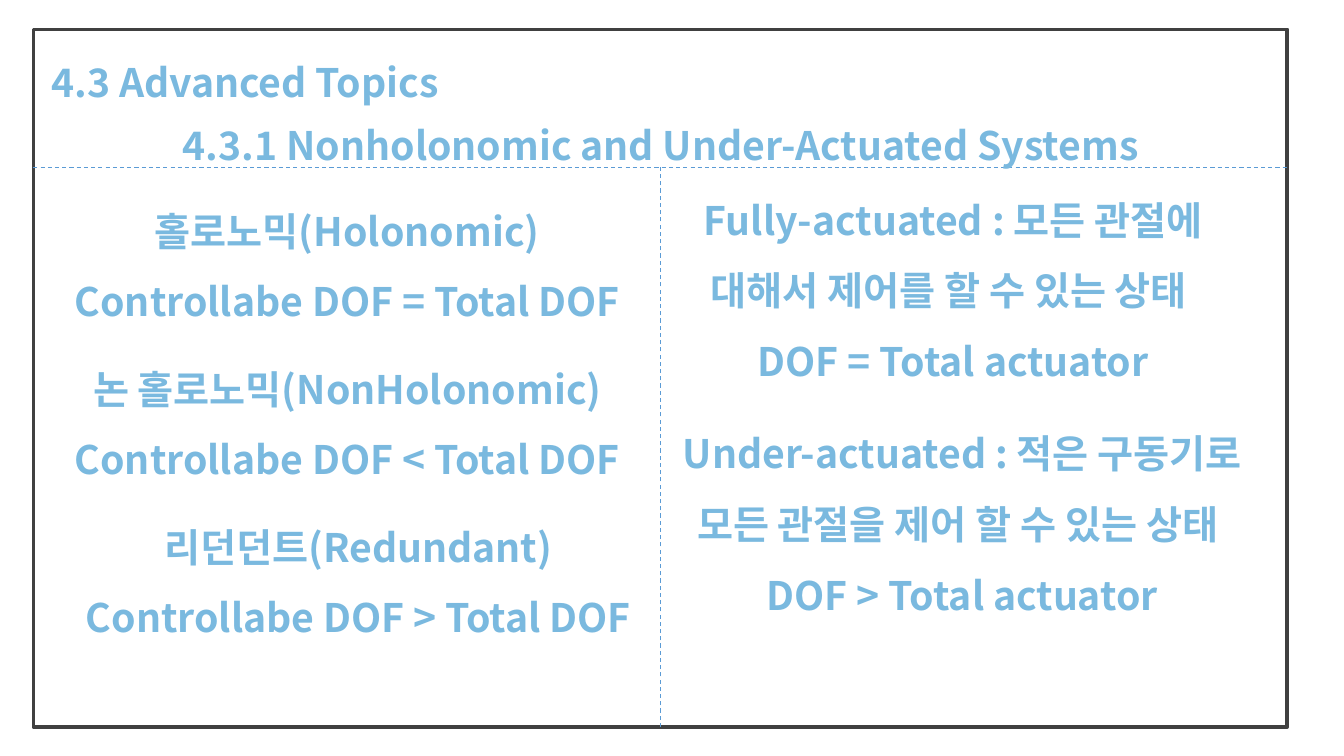
from dataclasses import dataclass

from lxml import etree
from pptx import Presentation
from pptx.dml.color import RGBColor
from pptx.enum.dml import MSO_LINE
from pptx.enum.shapes import MSO_CONNECTOR, MSO_SHAPE
from pptx.enum.text import PP_ALIGN
from pptx.oxml.ns import qn
from pptx.util import Cm, Pt

STRAIGHT = MSO_CONNECTOR.STRAIGHT
RECTANGLE = MSO_SHAPE.RECTANGLE
CENTER = PP_ALIGN.CENTER
DASH = MSO_LINE.DASH

SKY_BLUE = RGBColor(0x7A, 0xB9, 0xDF)
DIVIDER_BLUE = RGBColor(0x5B, 0x9B, 0xD5)
FRAME_GRAY = RGBColor(0x40, 0x40, 0x40)

FONT_NAME = "Noto Sans CJK KR"
FONT_FORMAT = {"name": FONT_NAME, "size": Pt(28), "bold": True}
PARAGRAPH_FORMAT = {"alignment": CENTER, "line_spacing": 1.5}

# Frame and dividers, in centimetres
FRAME_LEFT, FRAME_TOP, FRAME_WIDTH, FRAME_HEIGHT = 0.84, 0.74, 31.6, 17.58
FRAME_RIGHT = FRAME_LEFT + FRAME_WIDTH
FRAME_BOTTOM = FRAME_TOP + FRAME_HEIGHT
FRAME_MIDDLE = FRAME_LEFT + FRAME_WIDTH / 2
HEADER_BOTTOM = 4.22

# Text columns, in centimetres
COLUMN_WIDTH = 14.66
LEFT_TOP, LEFT_STEP, LEFT_HEIGHT = 4.5, 3.98, 3.68
RIGHT_HEIGHT = 5.46


@dataclass
class TextBlock:
    left: float
    top: float
    width: float
    height: float
    lines: tuple[str, ...]


@dataclass
class SystemKind:
    left: float
    name: str
    relation: str


HEADINGS = [
    TextBlock(FRAME_LEFT, 0.76, 10.67, 1.88, ("4.3 Advanced Topics",)),
    TextBlock(3.02, 2.34, 27.25, 1.85,
              ("4.3.1 Nonholonomic and Under-Actuated Systems",)),
]

SYSTEM_KINDS = [
    SystemKind(1.42, "홀로노믹(Holonomic)", "="),
    SystemKind(1.42, "논 홀로노믹(NonHolonomic)", "<"),
    SystemKind(1.7, "리던던트(Redundant)", ">"),
]

SYSTEM_BLOCKS = [
    TextBlock(kind.left, LEFT_TOP + row * LEFT_STEP, COLUMN_WIDTH, LEFT_HEIGHT,
              (kind.name, f"Controllabe DOF {kind.relation} Total DOF"))
    for row, kind in enumerate(SYSTEM_KINDS)
]

ACTUATION_BLOCKS = [
    TextBlock(16.69, HEADER_BOTTOM, COLUMN_WIDTH, RIGHT_HEIGHT,
              ("Fully-actuated : 모든 관절에 대해서 제어를 할 수 있는 상태 ",
               "DOF = Total actuator")),
    TextBlock(16.92, 10.11, COLUMN_WIDTH, RIGHT_HEIGHT,
              ("Under-actuated : 적은 구동기로 모든 관절을 제어 할 수 있는 상태 ",
               "DOF > Total actuator")),
]


def set_attributes(target: object, values: dict) -> None:
    for name, value in values.items():
        setattr(target, name, value)


def add_text_block(slide, block: TextBlock) -> None:
    shape = slide.shapes.add_textbox(
        Cm(block.left), Cm(block.top), Cm(block.width), Cm(block.height))
    frame = shape.text_frame
    frame.word_wrap = True
    for index, line in enumerate(block.lines):
        paragraph = frame.add_paragraph() if index else frame.paragraphs[0]
        set_attributes(paragraph, PARAGRAPH_FORMAT)
        run = paragraph.add_run()
        run.text = line
        set_attributes(run.font, FONT_FORMAT)
        run.font.color.rgb = SKY_BLUE
        # Korean letters take the East Asian typeface
        properties = run.font._element
        etree.SubElement(properties, qn("a:ea"), typeface=FONT_NAME)


def add_frame(slide):
    shape = slide.shapes.add_shape(
        RECTANGLE, Cm(FRAME_LEFT), Cm(FRAME_TOP), Cm(FRAME_WIDTH), Cm(FRAME_HEIGHT))
    shape.shadow.inherit = False
    shape.fill.background()
    shape.line.color.rgb = FRAME_GRAY
    shape.line.width = Pt(2.5)
    return shape


def add_divider(slide, x1: float, y1: float, x2: float, y2: float):
    connector = slide.shapes.add_connector(STRAIGHT, Cm(x1), Cm(y1), Cm(x2), Cm(y2))
    connector.line.color.rgb = DIVIDER_BLUE
    set_attributes(connector.line, {"width": Pt(0.75), "dash_style": DASH})
    etree.SubElement(connector._element.spPr, qn("a:effectLst"))
    return connector


def main() -> None:
    presentation = Presentation()
    presentation.slide_width = Cm(33.87)
    presentation.slide_height = Cm(19.05)
    slide = presentation.slides.add_slide(presentation.slide_layouts[6])

    # Frame with header and column dividers
    frame = add_frame(slide)
    add_divider(slide, FRAME_LEFT, HEADER_BOTTOM, FRAME_RIGHT, HEADER_BOTTOM)
    column_divider = add_divider(
        slide, FRAME_MIDDLE, FRAME_BOTTOM, FRAME_MIDDLE, HEADER_BOTTOM)
    column_divider.begin_connect(frame, 2)

    # Headings and both columns
    for block in HEADINGS + SYSTEM_BLOCKS + ACTUATION_BLOCKS:
        add_text_block(slide, block)

    presentation.save("out.pptx")


if __name__ == "__main__":
    main()
